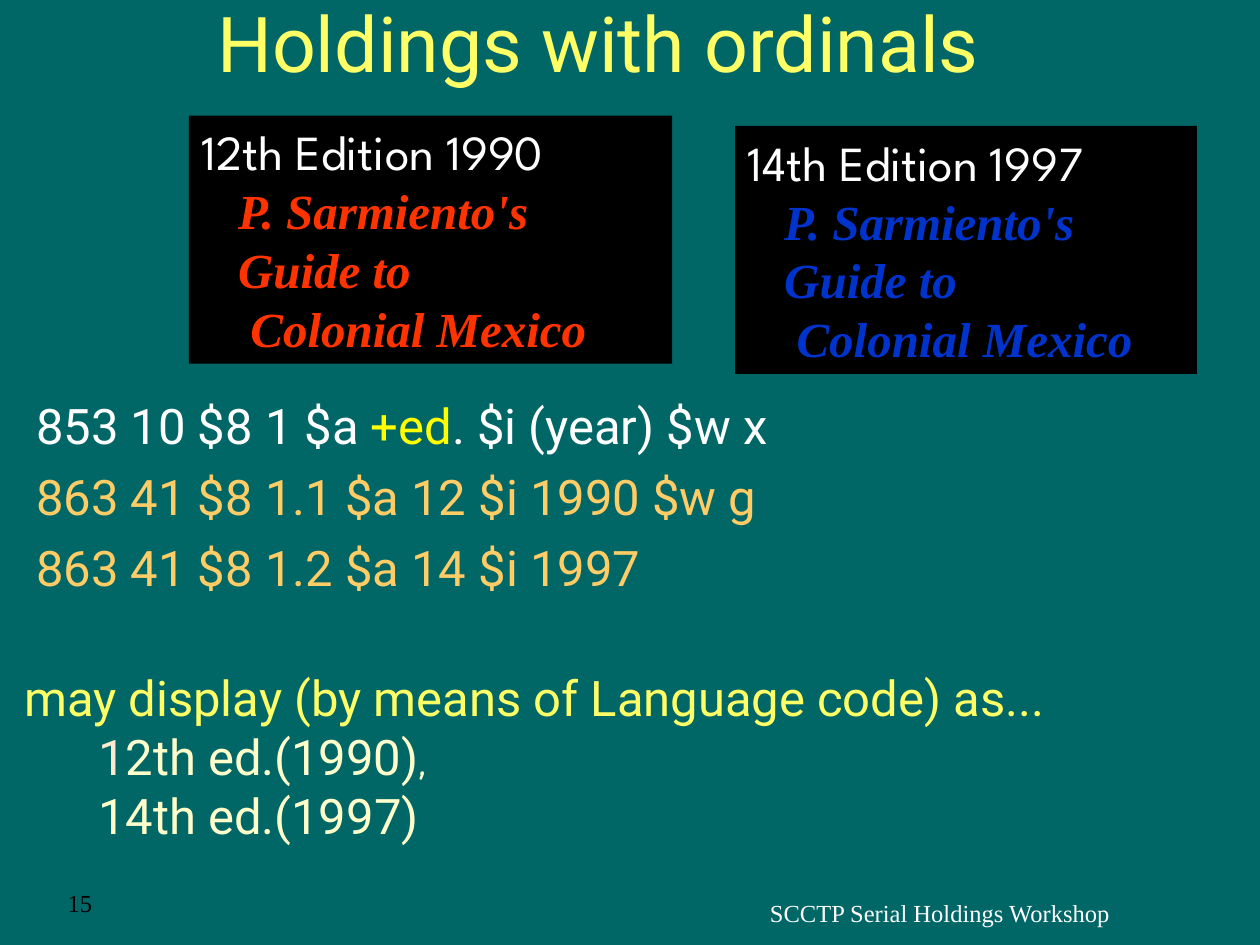
from dataclasses import dataclass

import pptx
import pptx.dml.color
import pptx.enum.shapes
import pptx.enum.text
import pptx.util

Cm = pptx.util.Cm
Pt = pptx.util.Pt
ALIGN = pptx.enum.text.PP_ALIGN
ANCHOR = pptx.enum.text.MSO_ANCHOR


@dataclass(frozen=True)
class Theme:
    teal: str = "006666"
    black: str = "000000"
    white: str = "FFFFFF"
    lemon: str = "FFFF66"
    yellow: str = "FFFF00"
    amber: str = "FFCC66"
    cream: str = "FFFFCC"
    peach: str = "FCE9D0"
    red: str = "FF3300"
    blue: str = "0033CC"
    sans: str = "Roboto"
    serif: str = "Times New Roman"
    heading: str = "League Spartan"
    comic: str = "Comic Neue"
    title_size: float = 44
    text_size: float = 28
    line_height: float = 33.6
    small_size: float = 14


THEME = Theme()


def rgb(color):
    return pptx.dml.color.RGBColor.from_string(color)


def add_run(p, text, color, font, size, emphasis=False):
    r = p.add_run()
    r.text = text
    r.font.name = font
    r.font.size = Pt(size)
    r.font.color.rgb = rgb(color)
    r.font.bold = r.font.italic = emphasis


def add_box(slide, box, fill=None, anchor=ANCHOR.TOP):
    lengths = [Cm(v) for v in box]
    if fill:
        sp = slide.shapes.add_shape(pptx.enum.shapes.MSO_SHAPE.RECTANGLE, *lengths)
        sp.shadow.inherit = False
        sp.fill.solid()
        sp.fill.fore_color.rgb = rgb(fill)
        sp.line.fill.background()
    else:
        sp = slide.shapes.add_textbox(*lengths)
    tf = sp.text_frame
    tf.word_wrap = True
    tf.vertical_anchor = anchor
    tf.margin_left = tf.margin_right = Cm(0.25)
    tf.margin_top = tf.margin_bottom = Cm(0.13)
    return tf


def add_line(tf, index, indent=0, before=0):
    p = tf.paragraphs[0] if index == 0 else tf.add_paragraph()
    p.alignment = ALIGN.LEFT
    p.line_spacing = Pt(THEME.line_height)
    if before:
        p.space_before = Pt(before)
    if indent:
        p._p.get_or_add_pPr().set("marL", str(Cm(indent)))
    return p


def add_label(slide, box, text, color, font, size, align, fill=None, anchor=ANCHOR.TOP):
    p = add_box(slide, box, fill, anchor).paragraphs[0]
    p.alignment = align
    add_run(p, text, color, font, size)


def add_cover(slide, box, edition, color):
    tf = add_box(slide, box, THEME.black)
    add_run(add_line(tf, 0), edition, THEME.white, THEME.heading, THEME.text_size)
    lines = [("P. Sarmiento's", 0.74), ("Guide to", 0.74), ("Colonial Mexico", 0.99)]
    for i, (text, indent) in enumerate(lines, 1):
        p = add_line(tf, i, indent)
        add_run(p, text, color, THEME.serif, THEME.text_size, emphasis=True)


def add_holdings(slide, box):
    t = THEME
    lines = [
        (0.48, 0, [("853 10 $8 1 $a ", t.white), ("+ed", t.yellow),
                   (". $i (year) $w x", t.white)]),
        (0.48, 7, [("863 41 $8 1.1 $a 12 $i 1990 $w g", t.amber)]),
        (0.48, 7, [("863 41 $8 1.2 $a 14 $i 1997", t.amber)]),
        (0.24, 40.6, [("may display (by means of Language code) as...", t.lemon)]),
        (1.73, 0, [("1", t.peach), ("2th ed.(1990)", t.cream),
                   (",", t.cream, t.comic)]),
        (1.73, 0, [("14th ed.(1997)", t.cream)]),
    ]
    tf = add_box(slide, box)
    for i, (indent, before, runs) in enumerate(lines):
        p = add_line(tf, i, indent, before)
        for text, color, *font in runs:
            add_run(p, text, color, font[0] if font else t.sans, t.text_size)


def main():
    t = THEME
    prs = pptx.Presentation()
    prs.slide_width, prs.slide_height = Cm(25.4), Cm(19.05)
    s = prs.slides.add_slide(prs.slide_layouts[6])
    s.background.fill.solid()
    s.background.fill.fore_color.rgb = rgb(t.teal)

    add_label(s, (12.5, 17.98, 12.9, 1.07), "SCCTP Serial Holdings Workshop",
              t.white, t.serif, t.small_size, ALIGN.CENTER)
    add_label(s, (0, 17.78, 2.11, 1.27), "15",
              t.black, t.serif, t.small_size, ALIGN.RIGHT)
    add_label(s, (0, 0, 24.13, 1.7), "Holdings with ordinals", t.lemon, t.sans,
              t.title_size, ALIGN.CENTER, t.teal, ANCHOR.MIDDLE)
    add_holdings(s, (0, 7.85, 25.4, 9.5))
    add_cover(s, (14.82, 2.54, 9.31, 5), "14th Edition 1997", t.blue)
    add_cover(s, (3.81, 2.33, 9.74, 5), "12th Edition 1990", t.red)
    prs.save("out.pptx")


if __name__ == "__main__":
    main()
